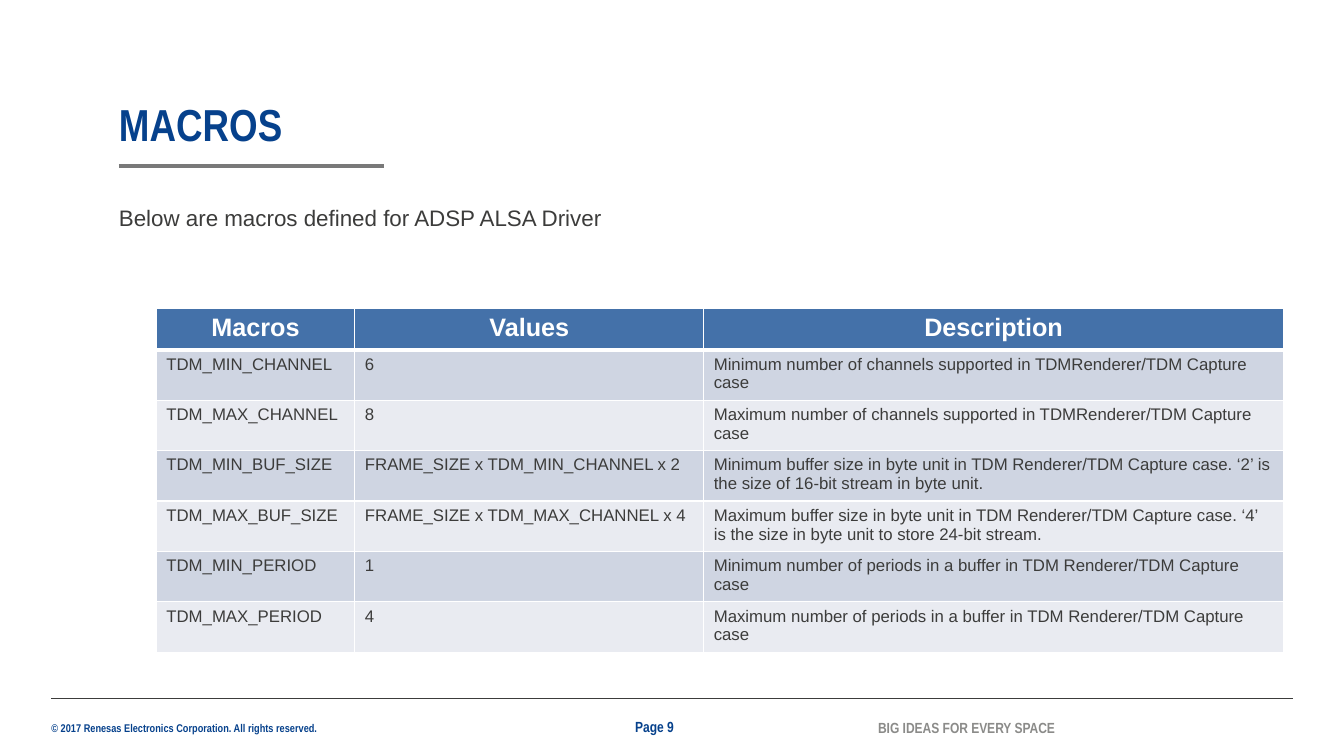
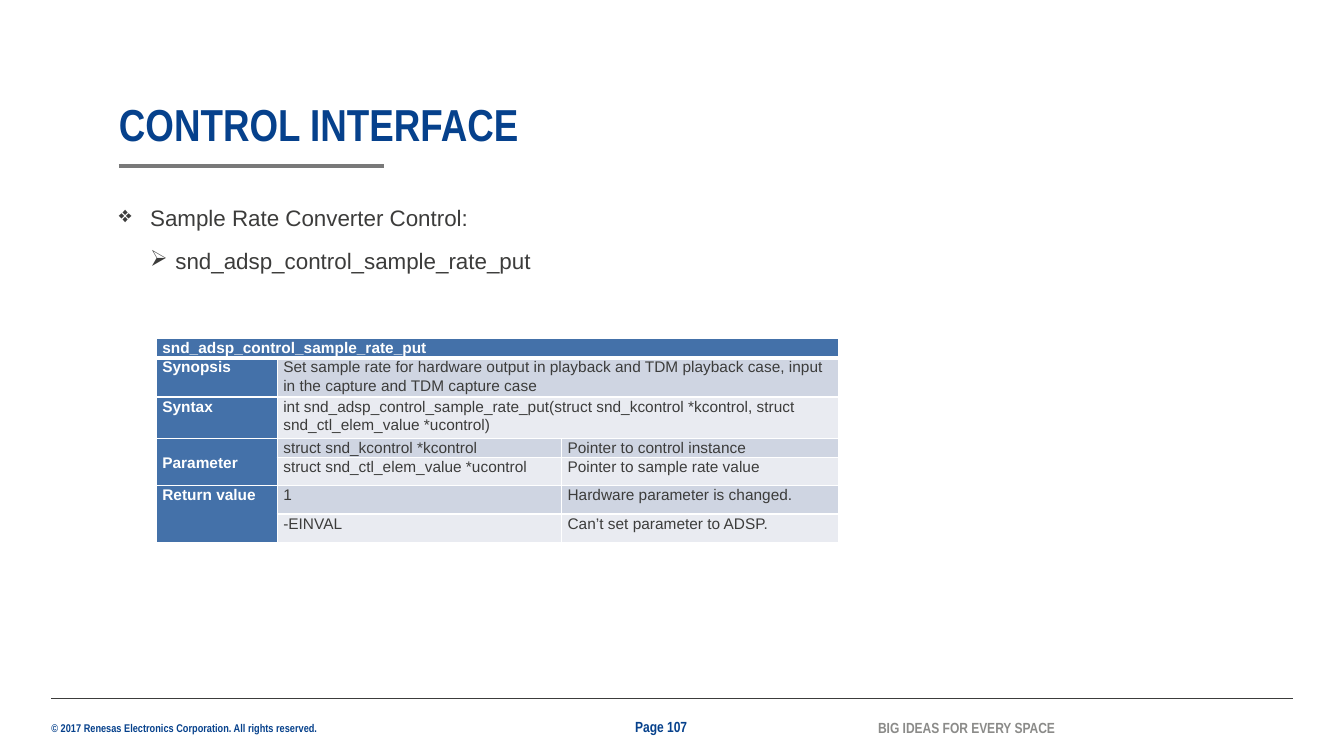
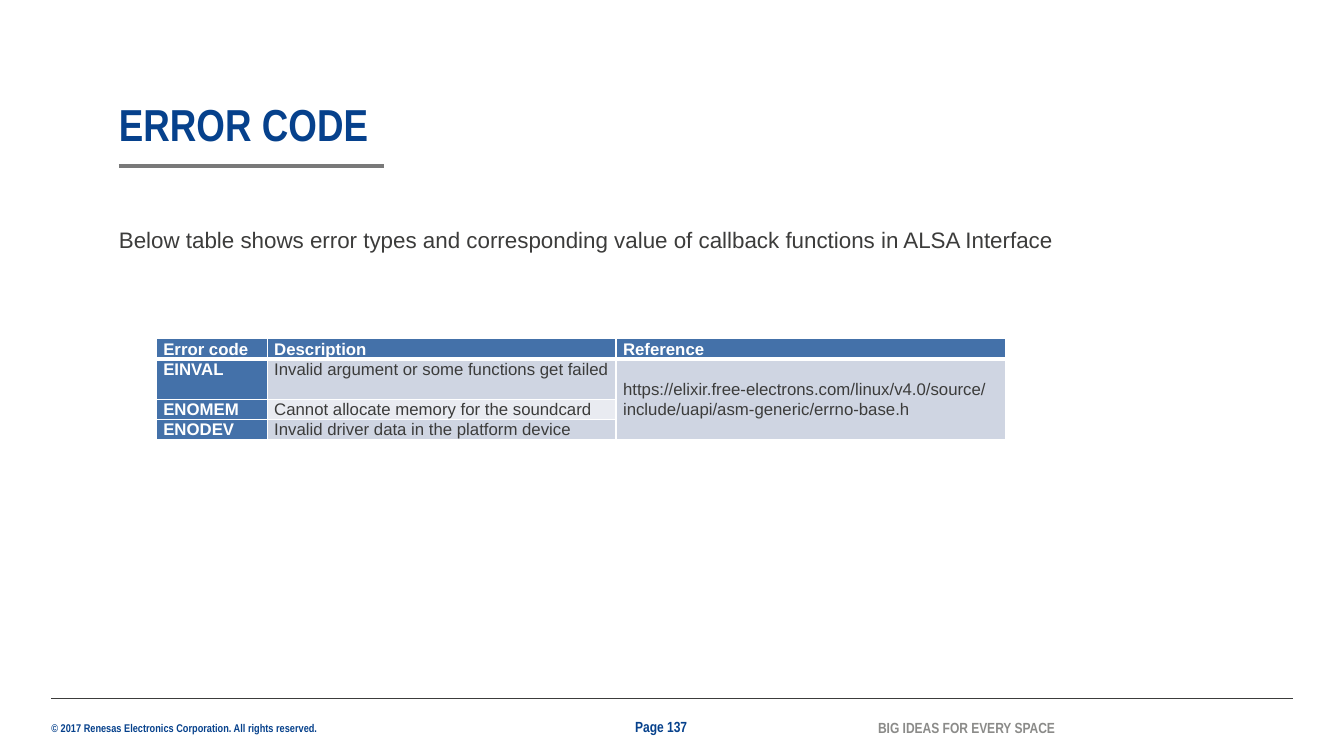
from pptx import Presentation
from pptx.util import Inches, Pt
from pptx.dml.color import RGBColor
from pptx.enum.shapes import MSO_CONNECTOR
from pptx.enum.text import MSO_ANCHOR, MSO_AUTO_SIZE, PP_ALIGN
from pptx.oxml.ns import qn
from lxml.etree import SubElement, Element

HUES = {
    "navy": "06418C", "ink": "3C3C3B", "rule": "797979", "mute": "8B8B89",
    "white": "FFFFFF", "head": "4471A9", "dark": "CFD5E2", "light": "E9EBF1",
}
TEXT, SLIM = "Arial", "Arial Narrow"


def style(para, size, hue, face=TEXT, bold=False, lead=1.0, after=0):
    para.line_spacing = lead
    para.space_after = Pt(after)
    for run in para.runs:
        run.font.size = Pt(size)
        run.font.name = face
        run.font.bold = bold
        run.font.color.rgb = RGBColor.from_string(HUES[hue])


def fit(shape, box, anchor):
    shape.left, shape.top, shape.width, shape.height = [Inches(n) for n in box]
    frame = shape.text_frame
    frame.margin_left = frame.margin_right = 0
    frame.margin_top = frame.margin_bottom = 0
    frame.word_wrap = True
    frame.auto_size = MSO_AUTO_SIZE.NONE
    frame.vertical_anchor = anchor
    return frame


RULES = [
    (0.51, 12.82, 6.93, "ink", 0.5),
    (1.18, 3.81, 1.65, "rule", 3),
]

PAGES = [
    {
        "title": "MACROS", "page": 9, "top": 1.97, "lead": 1.2,
        "body": [("Below are macros defined for ADSP ALSA Driver", None, 0, 0)],
        "y": 3.06, "cols": [1.97, 3.46, 5.75], "rows": [0.41] + [0.5] * 6,
        "size": 12, "big": 18, "pad": (0.1, 0.05), "lines": 1.0,
        "align": PP_ALIGN.CENTER, "side": False, "spans": [], "mid": [],
        "cells": [
            ["Macros", "Values", "Description"],
            ["TDM_MIN_CHANNEL", "6", "Minimum number of channels supported in TDMRenderer/TDM Capture case"],
            ["TDM_MAX_CHANNEL", "8", "Maximum number of channels supported in TDMRenderer/TDM Capture case"],
            ["TDM_MIN_BUF_SIZE", "FRAME_SIZE x TDM_MIN_CHANNEL x 2",
             "Minimum buffer size in byte unit in TDM Renderer/TDM Capture case. ‘2’ is the size of 16-bit stream in byte unit."],
            ["TDM_MAX_BUF_SIZE", "FRAME_SIZE x TDM_MAX_CHANNEL x 4",
             "Maximum buffer size in byte unit in TDM Renderer/TDM Capture case. ‘4’ is the size in byte unit to store 24-bit stream."],
            ["TDM_MIN_PERIOD", "1", "Minimum number of periods in a buffer in TDM Renderer/TDM Capture case"],
            ["TDM_MAX_PERIOD", "4", "Maximum number of periods in a buffer in TDM Renderer/TDM Capture case"],
        ],
    },
    {
        "title": "CONTROL INTERFACE", "page": 107, "top": 1.97, "lead": 1.2,
        "body": [
            ("Sample Rate Converter Control:", "❖", 0.31, 0.31),
            ("snd_adsp_control_sample_rate_put", "➢", 0.56, 0.25),
        ],
        "y": 3.36, "cols": [1.2, 2.82, 2.75],
        "rows": [0.19, 0.39, 0.41, 0.19, 0.28, 0.28, 0.28],
        "size": 11, "big": 11, "pad": (0.06, 0), "lines": 1.07,
        "align": PP_ALIGN.LEFT, "side": True,
        "spans": [(0, 0, 0, 2), (1, 1, 1, 2), (2, 1, 2, 2), (3, 0, 4, 0), (5, 0, 6, 0)],
        "mid": [(3, 0)],
        "cells": [
            ["snd_adsp_control_sample_rate_put", "", ""],
            ["Synopsis", "Set sample rate for hardware output in playback and TDM playback case, input in the capture and TDM capture case", ""],
            ["Syntax", "int snd_adsp_control_sample_rate_put(struct snd_kcontrol *kcontrol, struct snd_ctl_elem_value *ucontrol)", ""],
            ["Parameter", "struct snd_kcontrol *kcontrol", "Pointer to control instance"],
            ["", "struct snd_ctl_elem_value *ucontrol", "Pointer to sample rate value"],
            ["Return value", "1", "Hardware parameter is changed."],
            ["", "-EINVAL", "Can’t set parameter to ADSP."],
        ],
    },
    {
        "title": "ERROR CODE", "page": 137, "top": 2.22, "lead": 1.07,
        "body": [("Below table shows error types and corresponding value of callback functions in ALSA Interface", None, 0, 0)],
        "y": 3.36, "cols": [1.1, 3.46, 3.86], "rows": [0.2, 0.4, 0.2, 0.2],
        "size": 12, "big": 12, "pad": (0.07, 0), "lines": 1.07,
        "align": PP_ALIGN.LEFT, "side": True,
        "spans": [(1, 2, 3, 2)], "mid": [(1, 2)],
        "cells": [
            ["Error code", "Description", "Reference"],
            ["EINVAL", "Invalid argument or some functions get failed",
             "https://elixir.free-electrons.com/linux/v4.0/source/include/uapi/asm-generic/errno-base.h"],
            ["ENOMEM", "Cannot allocate memory for the soundcard", ""],
            ["ENODEV", "Invalid driver data in the platform device", ""],
        ],
    },
]

deck = Presentation()
deck.slide_width, deck.slide_height = Inches(13.33), Inches(7.5)

for page in PAGES:
    slide = deck.slides.add_slide(deck.slide_layouts[5])
    shapes = slide.shapes

    for left, right, y, hue, width in RULES:
        rule = shapes.add_connector(
            MSO_CONNECTOR.STRAIGHT, Inches(left), Inches(y), Inches(right), Inches(y))
        rule.line.color.rgb = RGBColor.from_string(HUES[hue])
        rule.line.width = Pt(width)
        SubElement(rule._element.spPr, qn("a:effectLst"))

    frame = fit(shapes.title, (1.18, 1.02, 9.84, 0.48), MSO_ANCHOR.BOTTOM)
    frame.text = page["title"]
    frame.paragraphs[0].alignment = PP_ALIGN.LEFT
    style(frame.paragraphs[0], 32, "navy", SLIM, True, 0.9)

    feet = [
        ("© 2017 Renesas Electronics Corporation. All rights reserved.",
         (0.51, 7.16, 3, 0.13), 8, "navy", MSO_ANCHOR.TOP),
        (f"Page {page['page']}", (6.3, 7.12, 0.73, 0.18), 10.5, "navy", MSO_ANCHOR.MIDDLE),
        ("BIG IDEAS FOR EVERY SPACE", (8.71, 7.13, 1.8, 0.18), 10.5, "mute", MSO_ANCHOR.MIDDLE),
    ]
    for text, box, size, hue, anchor in feet:
        frame = fit(shapes.add_textbox(0, 0, 0, 0), box, anchor)
        frame.text = text
        style(frame.paragraphs[0], size, hue, SLIM, True)

    body = page["body"]
    box = (1.18, page["top"], 9.84, 0.29 + 0.47 * (len(body) - 1))
    frame = fit(shapes.add_textbox(0, 0, 0, 0), box, MSO_ANCHOR.TOP)
    frame.text = "\n".join(item[0] for item in body)
    for para, (text, mark, left, hang) in zip(frame.paragraphs, body):
        if mark:
            props = para._p.get_or_add_pPr()
            props.set("marL", str(Inches(left)))
            props.set("indent", str(-Inches(hang)))
            SubElement(props, qn("a:buChar")).set("char", mark)
        style(para, 16, "ink", lead=page["lead"], after=8)

    cols, rows = page["cols"], page["rows"]
    table = shapes.add_table(
        len(rows), len(cols), Inches(1.55), Inches(page["y"]),
        Inches(sum(cols)), Inches(sum(rows))).table
    table.horz_banding = False
    for col, width in zip(table.columns, cols):
        col.width = Inches(width)
    for row, height in zip(table.rows, rows):
        row.height = Inches(height)
    for top, left, low, right in page["spans"]:
        table.cell(top, left).merge(table.cell(low, right))

    for r, line in enumerate(page["cells"]):
        for c, text in enumerate(line):
            cell = table.cell(r, c)
            head = r == 0 or (page["side"] and c == 0)
            fill = "head" if head else "dark" if r % 2 else "light"
            cell.fill.solid()
            cell.fill.fore_color.rgb = RGBColor.from_string(HUES[fill])
            cell.margin_left = cell.margin_right = Inches(page["pad"][0])
            cell.margin_top = cell.margin_bottom = Inches(page["pad"][1])
            middle = (r, c) in page["mid"]
            cell.vertical_anchor = MSO_ANCHOR.MIDDLE if middle else MSO_ANCHOR.TOP
            cell.text_frame.text = text
            para = cell.text_frame.paragraphs[0]
            para.alignment = page["align"] if r == 0 else PP_ALIGN.LEFT
            style(para, page["size"] if r else page["big"],
                  "white" if head else "ink", bold=head, lead=page["lines"])
            if not text:
                para.font.size = Pt(page["size"])
            props = cell._tc.get_or_add_tcPr()
            for i, side in enumerate("LRTB"):
                thick = (r, side) in [(0, "B"), (1, "T")]
                edge = Element(qn(f"a:ln{side}"), w=str(Pt(3 if thick else 1)))
                paint = SubElement(edge, qn("a:solidFill"))
                SubElement(paint, qn("a:srgbClr")).set("val", HUES["white"])
                props.insert(i, edge)

deck.save("out.pptx")
